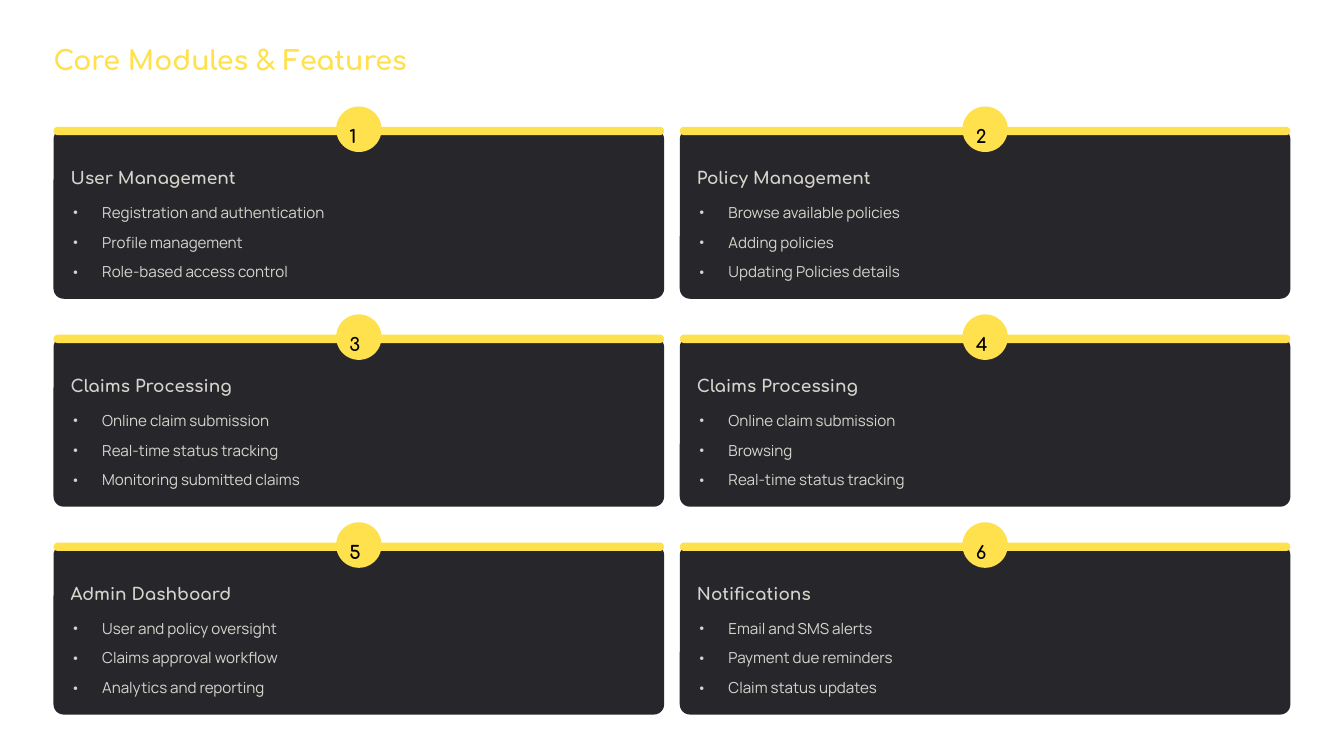
from pptx import Presentation
from pptx.dml.color import RGBColor
from pptx.enum.shapes import MSO_SHAPE
from pptx.oxml.ns import qn
from pptx.util import Pt
from lxml import etree

ROUNDED = MSO_SHAPE.ROUNDED_RECTANGLE
YELLOW, DARK, LIGHT, BLACK = "FFE14D", "27272B", "D7D4CC", "000000"
HEADING_FONT, BODY_FONT = "Comfortaa", "Manrope"

TITLE = "Core Modules & Features"
MODULES = [
    ("User Management", ["Registration and authentication", "Profile management",
                         "Role-based access control"]),
    ("Policy Management", ["Browse available policies", "Adding policies",
                           "Updating Policies details"]),
    ("Claims Processing", ["Online claim submission", "Real-time status tracking",
                           "Monitoring submitted claims"]),
    ("Claims Processing", ["Online claim submission", "Browsing",
                           "Real-time status tracking"]),
    ("Admin Dashboard", ["User and policy oversight", "Claims approval workflow",
                         "Analytics and reporting"]),
    ("Notifications", ["Email and SMS alerts", "Payment due reminders",
                       "Claim status updates"]),
]

COLUMNS = 2
LEFT, TOP = 45.9, 108.7
COLUMN_STEP, ROW_STEP = 536.8, 178.2
CARD_WIDTH, CARD_HEIGHT = 523.4, 145.4
BAR_HEIGHT, BADGE_SIZE = 7.2, 39
PADDING = 14.7
HEADING_WIDTH = 154
FEATURE_STEP, FEATURE_INDENT = 25.6, 27


def color(hex_string):
    return RGBColor.from_string(hex_string)


def add_rounded(slide, left, top, width, height, fill, rounding=0.5):
    shape = slide.shapes.add_shape(ROUNDED, Pt(left), Pt(top), Pt(width), Pt(height))
    shape.adjustments[0] = rounding
    shape.shadow.inherit = False
    shape.fill.solid()
    shape.fill.fore_color.rgb = color(fill)
    shape.line.fill.background()


def add_text(slide, text, left, top, width, height, size, spacing, fill,
             font=HEADING_FONT, bold=True, bullet=False):
    box = slide.shapes.add_textbox(Pt(left), Pt(top), Pt(width), Pt(height))
    frame = box.text_frame
    frame.margin_left = frame.margin_top = frame.margin_right = frame.margin_bottom = 0
    frame.word_wrap = False
    frame.text = text
    paragraph = frame.paragraphs[0]
    paragraph.line_spacing = Pt(spacing)
    if bullet:
        properties = paragraph._p.get_or_add_pPr()
        properties.set("marL", str(Pt(FEATURE_INDENT)))
        properties.set("indent", str(-Pt(FEATURE_INDENT)))
        etree.SubElement(properties, qn("a:buSzPct")).set("val", "100000")
        etree.SubElement(properties, qn("a:buFont")).set("typeface", font)
        etree.SubElement(properties, qn("a:buChar")).set("char", "•")
    run_font = paragraph.runs[0].font
    run_font.name = font
    run_font.size = Pt(size)
    run_font.bold = bold
    run_font.color.rgb = color(fill)


def add_module(slide, index, heading, features):
    row, column = divmod(index, COLUMNS)
    left = LEFT + column * COLUMN_STEP
    top = TOP + row * ROW_STEP
    badge_left = left + (CARD_WIDTH - BADGE_SIZE) / 2
    badge_top = top + (BAR_HEIGHT - BADGE_SIZE) / 2 - 1.5

    add_rounded(slide, left, top + 2, CARD_WIDTH, CARD_HEIGHT, DARK, 0.06)
    add_rounded(slide, left, top, CARD_WIDTH, BAR_HEIGHT, YELLOW)
    add_rounded(slide, badge_left, badge_top, BADGE_SIZE, BADGE_SIZE, YELLOW)
    add_text(slide, str(index + 1), badge_left + 11.5, badge_top + 9.6, 16, 19.5,
             15.5, 25, BLACK)
    add_text(slide, heading, left + PADDING, top + 34.7, HEADING_WIDTH, 18,
             14.5, 18, LIGHT)
    for number, feature in enumerate(features):
        add_text(slide, feature, left + PADDING, top + 60.5 + number * FEATURE_STEP,
                 494, 20.9, 13, 20.5, LIGHT, BODY_FONT, False, True)


def main():
    presentation = Presentation()
    presentation.slide_width, presentation.slide_height = Pt(1152), Pt(648)
    slide = presentation.slides.add_slide(presentation.slide_layouts[6])
    add_text(slide, TITLE, LEFT, 36, 306, 29, 23, 29, YELLOW)
    for index, (heading, features) in enumerate(MODULES):
        add_module(slide, index, heading, features)
    presentation.save("out.pptx")


if __name__ == "__main__":
    main()
